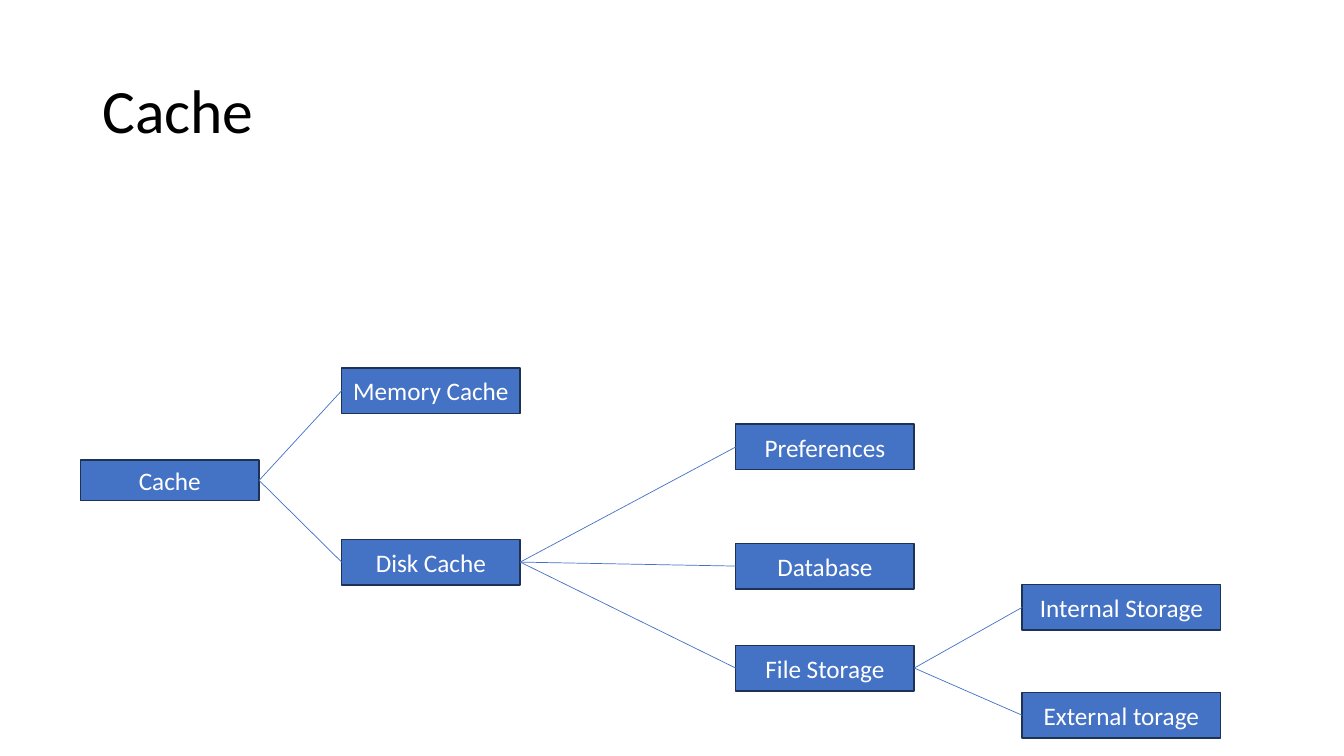
from dataclasses import dataclass

from lxml.etree import SubElement
from pptx import Presentation
from pptx.dml.color import RGBColor
from pptx.enum.shapes import MSO_CONNECTOR, MSO_SHAPE
from pptx.enum.text import MSO_ANCHOR, MSO_AUTO_SIZE, PP_ALIGN
from pptx.oxml.ns import qn
from pptx.util import Cm, Pt


@dataclass(frozen=True)
class Theme:
    font: str = "Calibri"
    ink: RGBColor = RGBColor(0, 0, 0)
    blue: RGBColor = RGBColor(0x44, 0x72, 0xC4)
    edge: RGBColor = RGBColor(0x1E, 0x32, 0x56)
    white: RGBColor = RGBColor(0xFF, 0xFF, 0xFF)
    title: int = 44
    label: int = 18
    border: float = 1
    link: float = 0.5


class Board:
    LEFT, RIGHT = 1, 3  # connection sites of a rectangle

    def __init__(self, slide, theme):
        self.slide = slide
        self.theme = theme

    def label(self, frame, text, size, color, anchor):
        frame.word_wrap = True
        frame.vertical_anchor = anchor
        para = frame.paragraphs[0]
        run = para.add_run()
        run.text = text
        run.font.name = self.theme.font
        run.font.size = Pt(size)
        run.font.color.rgb = color
        return para

    def title(self, text, x, y, w, h):
        box = self.slide.shapes.add_textbox(Cm(x), Cm(y), Cm(w), Cm(h))
        para = self.label(box.text_frame, text, self.theme.title,
                          self.theme.ink, MSO_ANCHOR.MIDDLE)
        para.line_spacing = 0.9

    def node(self, text, x, y, w, h, grow=False):
        box = self.slide.shapes.add_shape(
            MSO_SHAPE.RECTANGLE, Cm(x), Cm(y), Cm(w), Cm(h))
        box.shadow.inherit = False
        box.fill.solid()
        box.fill.fore_color.rgb = self.theme.blue
        box.line.color.rgb = self.theme.edge
        box.line.width = Pt(self.theme.border)
        anchor = MSO_ANCHOR.TOP if grow else MSO_ANCHOR.MIDDLE
        para = self.label(box.text_frame, text, self.theme.label,
                          self.theme.white, anchor)
        para.alignment = PP_ALIGN.CENTER
        if grow:
            box.text_frame.auto_size = MSO_AUTO_SIZE.SHAPE_TO_FIT_TEXT
        return box

    def link(self, start, end):
        line = self.slide.shapes.add_connector(
            MSO_CONNECTOR.STRAIGHT, 0, 0, 0, 0)
        line.begin_connect(start, self.RIGHT)
        line.end_connect(end, self.LEFT)
        line.line.color.rgb = self.theme.blue
        line.line.width = Pt(self.theme.link)
        SubElement(line._element.spPr, qn("a:effectLst"))


# Tree levels: left edge, box width, then (label, top, parent)
ROOT = "Cache"
HEIGHT = 1.15
LEVELS = [
    (8.61, 4.5, [("Memory Cache", 9.27, ROOT),
                 ("Disk Cache", 13.59, ROOT)]),
    (18.54, 4.5, [("Preferences", 10.69, "Disk Cache"),
                  ("Database", 13.69, "Disk Cache"),
                  ("File Storage", 16.26, "Disk Cache")]),
    (25.76, 5, [("Internal Storage", 14.73, "File Storage"),
                ("External torage", 17.45, "File Storage")]),
]


def main():
    deck = Presentation()
    deck.slide_width, deck.slide_height = Cm(33.87), Cm(19.05)
    board = Board(deck.slides.add_slide(deck.slide_layouts[6]), Theme())

    # Heading
    board.title("Cache", 2.33, 1.01, 29.21, 3.68)

    # Tree
    nodes = {ROOT: board.node(ROOT, 2.03, 11.59, 4.5, 1.03, grow=True)}
    for left, width, items in LEVELS:
        for label, top, parent in items:
            nodes[label] = board.node(label, left, top, width, HEIGHT)
            board.link(nodes[parent], nodes[label])

    deck.save("out.pptx")


if __name__ == "__main__":
    main()
